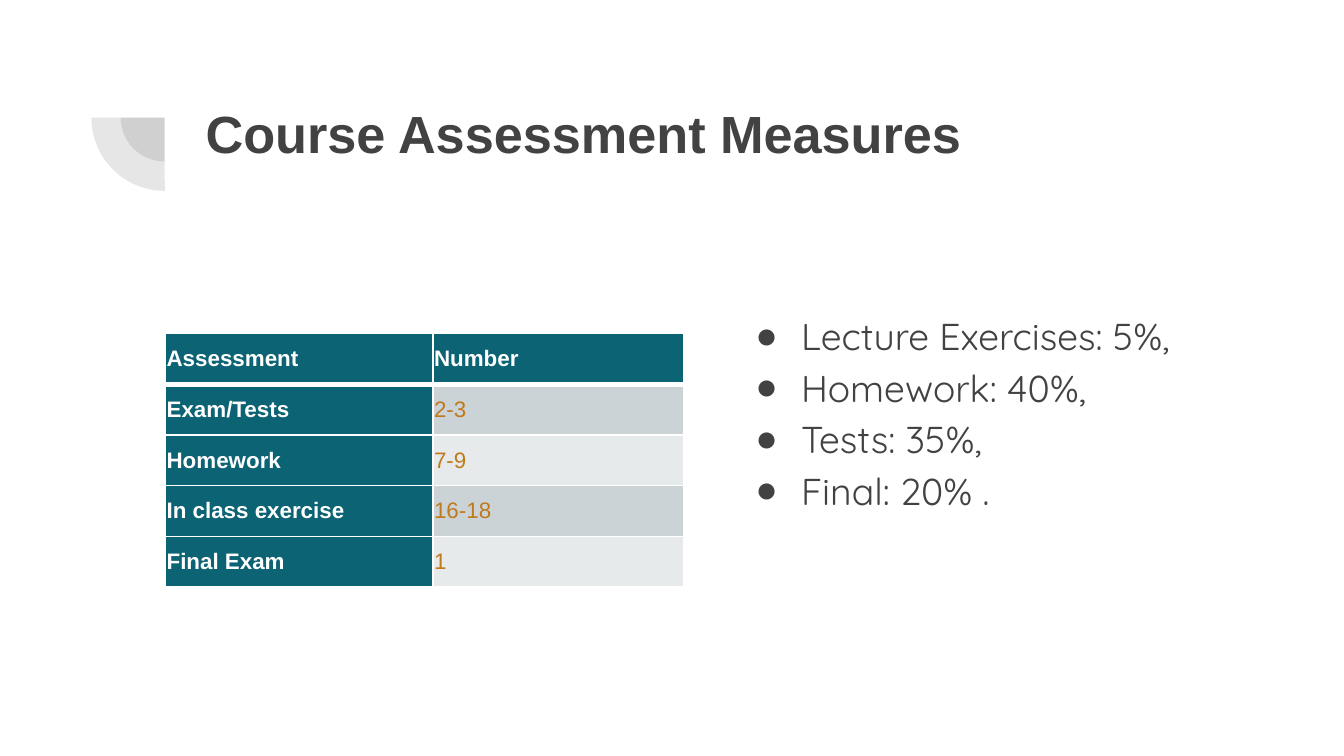
from lxml.etree import SubElement as Sub
from pptx import Presentation
from pptx.dml.color import RGBColor
from pptx.enum.shapes import MSO_SHAPE as Shape
from pptx.enum.text import MSO_ANCHOR as Anchor, MSO_AUTO_SIZE as Auto, PP_ALIGN as Align
from pptx.oxml.ns import qn
from pptx.util import Inches, Pt

DARK, TEAL, GOLD, WHITE = "424242", "0B6374", "C0791B", "FFFFFF"
BANDS = ["CCD3D6", "E7EAEB"]


def paint(color, value):
    color.rgb = RGBColor.from_string(value)


def style(para, font, size, color, bold=False):
    for run in para.runs:
        run.font.name, run.font.size, run.font.bold = font, Pt(size), bold
        paint(run.font.color, color)


def place(holder, box):
    holder.left, holder.top, holder.width, holder.height = map(Inches, box)
    frame = holder.text_frame
    frame.margin_left = frame.margin_right = Inches(0.1)
    frame.margin_top = frame.margin_bottom = Inches(0.1)
    frame.vertical_anchor = Anchor.TOP
    frame.auto_size = Auto.NONE
    frame.word_wrap = True
    return frame


def add_mark(slide, box):
    """Two quarter discs around the centre of the box."""
    left, top, size = box
    for width in (0.6 * size, size):
        gap = (size - width) / 2
        disc = slide.shapes.add_shape(
            Shape.PIE, Inches(left + gap), Inches(top + gap), Inches(width), Inches(width))
        disc.adjustments[0], disc.adjustments[1] = 107.93, 162
        disc.rotation = 270
        disc.shadow.inherit = False
        disc.line.fill.background()
        disc.fill.solid()
        paint(disc.fill.fore_color, DARK)
        tint = disc.fill._xPr.find(qn("a:solidFill"))[0]
        Sub(tint, qn("a:alpha"), val="13000")


def add_title(slide, box, text):
    frame = place(slide.shapes.title, box)
    frame.text = text
    para = frame.paragraphs[0]
    para.alignment = Align.LEFT
    style(para, "Arial", 28, DARK, True)


def add_list(slide, box, items):
    frame = place(slide.placeholders[1], box)
    frame.text = "\n".join(items)
    for para in frame.paragraphs:
        props = para._p.get_or_add_pPr()
        props.set("marL", str(Inches(0.5)))
        props.set("indent", str(Inches(-0.34)))
        Sub(Sub(props, qn("a:buClr")), qn("a:srgbClr"), val=DARK)
        Sub(props, qn("a:buFont"), typeface="Arial")
        Sub(props, qn("a:buChar"), char="●")
        para.line_spacing = 1.15
        para.space_before = Pt(0)
        style(para, "Quicksand", 20, DARK)


def add_edge(cell, side, width):
    line = Sub(cell._tc.get_or_add_tcPr(), qn("a:ln" + side), w=str(Pt(width)))
    Sub(Sub(line, qn("a:solidFill")), qn("a:srgbClr"), val=WHITE)


def add_grid(slide, box, widths, rows):
    table = slide.shapes.add_table(len(rows), len(widths), *map(Inches, box)).table
    for col, width in zip(table.columns, widths):
        col.width = Inches(width)
    for r, row in enumerate(rows):
        for c, text in enumerate(row):
            cell = table.cell(r, c)
            head = r == 0 or c == 0
            cell.margin_left = cell.margin_right = Inches(0.01)
            cell.margin_top = cell.margin_bottom = Inches(0.01)
            cell.vertical_anchor = Anchor.MIDDLE
            # Thick rule under the header row, thin ones elsewhere
            for side in "LRTB":
                thick = (r, side) in ((0, "B"), (1, "T"))
                add_edge(cell, side, 3 if thick else 1)
            cell.fill.solid()
            paint(cell.fill.fore_color, TEAL if head else BANDS[(r - 1) % 2])
            cell.text_frame.text = text
            style(cell.text_frame.paragraphs[0], "Arial", 12, WHITE if head else GOLD, head)


def main():
    deck = Presentation()
    # Widescreen, 16 by 9
    deck.slide_width = Inches(10)
    deck.slide_height = deck.slide_width * 9 // 16
    slide = deck.slides.add_slide(deck.slide_layouts[1])
    add_mark(slide, (0.68, 0.33, 1.09))
    add_title(slide, (1.43, 0.65, 7.69, 1.09), "Course Assessment Measures")
    add_list(slide, (5.36, 2.18, 3.75, 2.78), [
        "Lecture Exercises: 5%,", "Homework: 40%,", "Tests: 35%,", "Final: 20% ."])
    add_grid(slide, (1.23, 2.48, 3.86, 1.89), (1.99, 1.87), [
        ("Assessment", "Number"),
        ("Exam/Tests", "2-3"),
        ("Homework", "7-9"),
        ("In class exercise", "16-18"),
        ("Final Exam", "1"),
    ])
    deck.save("out.pptx")


if __name__ == "__main__":
    main()
